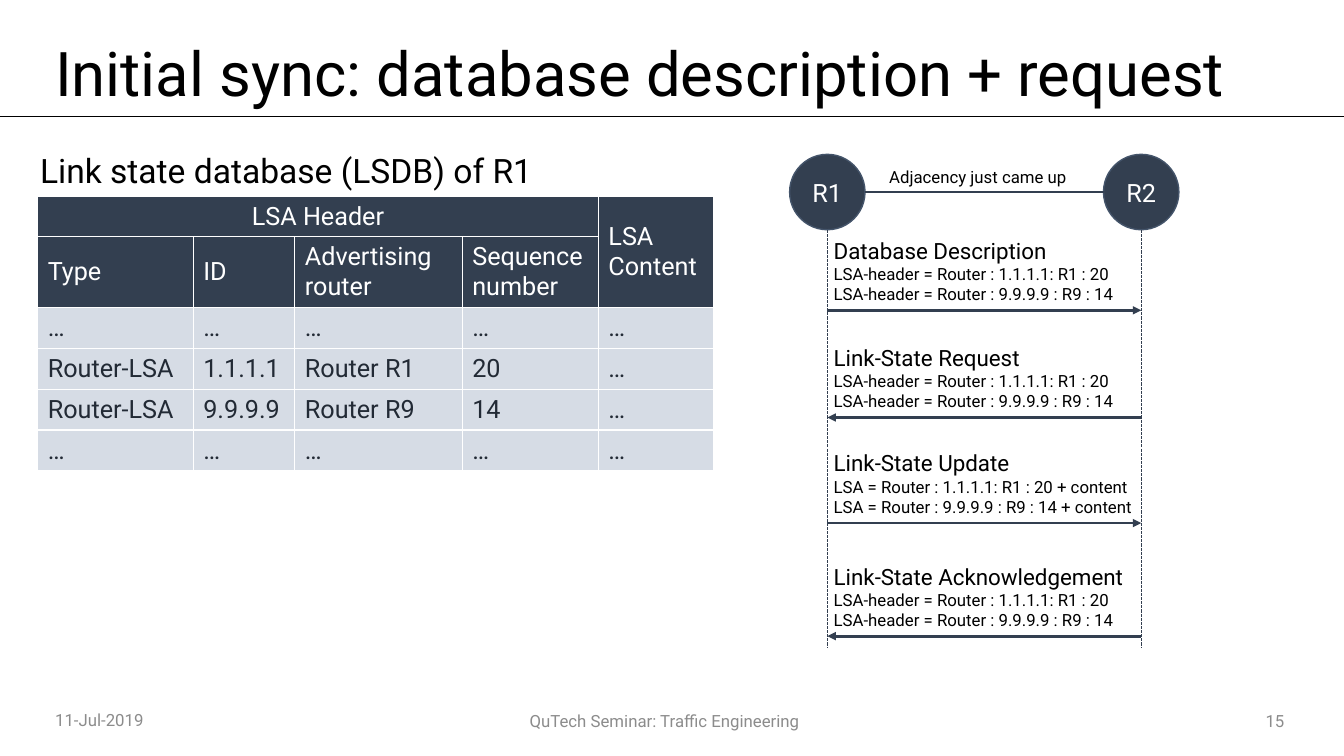
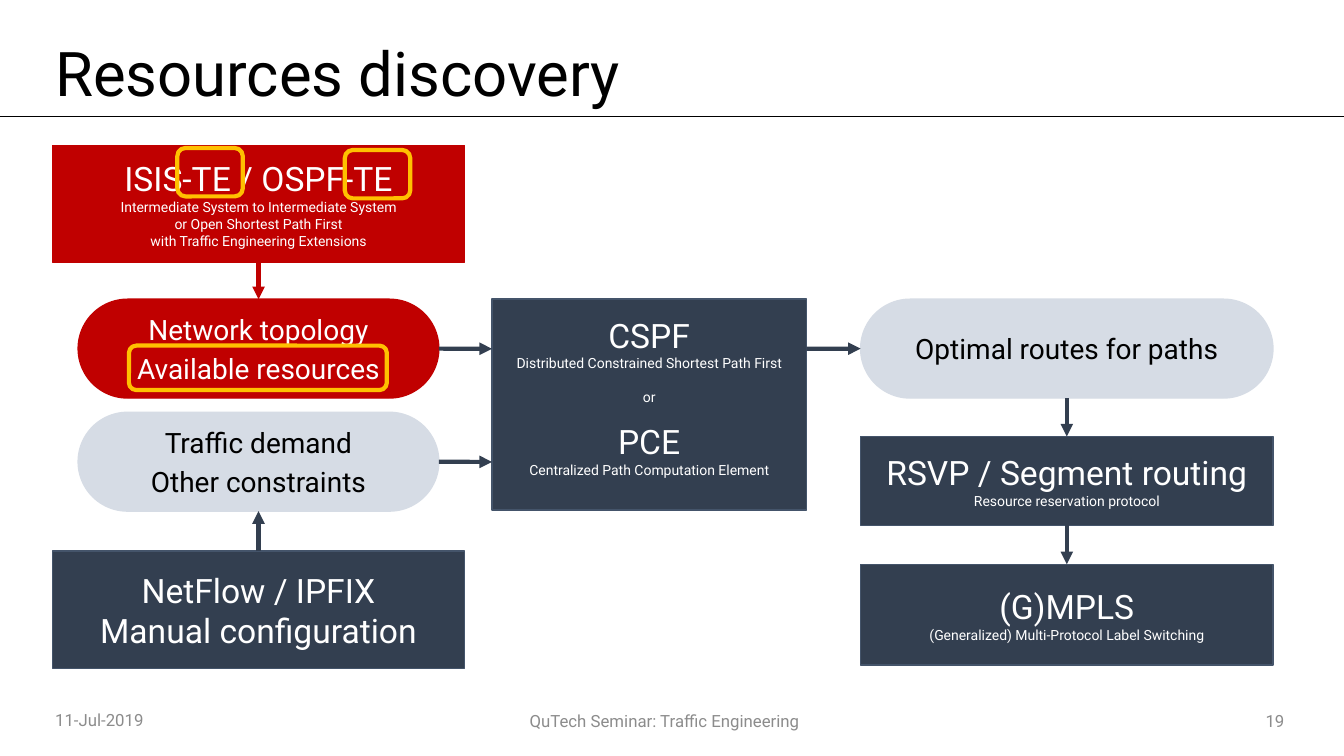
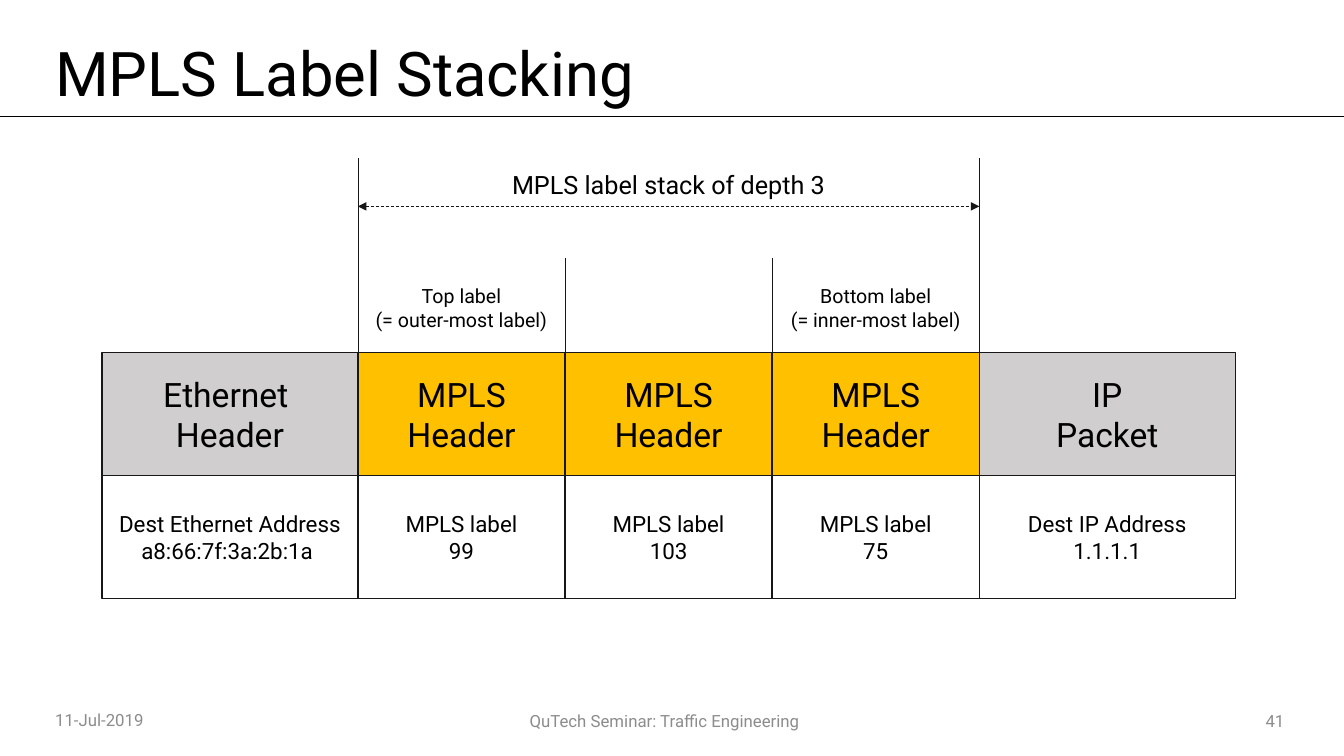
"""Build three seminar slides on link-state routing and MPLS."""
from lxml.etree import SubElement
from pptx import Presentation
from pptx.dml.color import RGBColor
from pptx.enum.dml import MSO_LINE
from pptx.enum.shapes import MSO_CONNECTOR, MSO_SHAPE
from pptx.enum.text import MSO_ANCHOR, PP_ALIGN
from pptx.oxml.ns import qn
from pptx.util import Cm, Pt

FONT = "Roboto"
BLACK, WHITE, GREY = "000000", "FFFFFF", "8C8C8C"
NAVY, SLATE, PALE, DARK = "333F50", "44546A", "D6DCE5", "222A35"
RED, GOLD, SILVER, INK = "C00000", "FFC000", "D0CECE", "181717"
LEFT, MID, RIGHT = PP_ALIGN.LEFT, PP_ALIGN.CENTER, PP_ALIGN.RIGHT
RECT, ROUND, OVAL = MSO_SHAPE.RECTANGLE, MSO_SHAPE.ROUNDED_RECTANGLE, MSO_SHAPE.OVAL
TOP, WEST, BASE, EAST = range(4)
rgb = RGBColor.from_string


def box(slide, at, lines=(), color=BLACK, kind=None, fill=None, edge=None,
        width=1, align=MID, pad=None, lead=None):
    """Add a text box, or a shape of the given kind; lines hold text, size and space before."""
    at = [Cm(n) for n in at]
    if kind is None:
        shape = slide.shapes.add_textbox(*at)
    else:
        shape = slide.shapes.add_shape(kind, *at)
        shape.shadow.inherit = False
        shape.line.color.rgb = rgb(edge)
        shape.line.width = Pt(width)
        if fill:
            shape.fill.solid()
            shape.fill.fore_color.rgb = rgb(fill)
        else:
            shape.fill.background()
    frame = shape.text_frame
    frame.word_wrap = True
    frame.vertical_anchor = MSO_ANCHOR.MIDDLE
    if pad is not None:
        frame.margin_left = frame.margin_right = Cm(pad)
        frame.margin_top = frame.margin_bottom = Cm(pad)
    for n, (text, size, *gap) in enumerate(lines):
        para = frame.add_paragraph() if n else frame.paragraphs[0]
        para.alignment = align
        if lead:
            para.line_spacing = lead
        if gap:
            para.space_before = Pt(gap[0])
        run = para.add_run()
        run.text = text
        run.font.name, run.font.size = FONT, Pt(size)
        run.font.color.rgb = rgb(color)
    return shape


def line(slide, start, end, color, width, tips=(), dash=None):
    """Draw a straight line between points or (shape, side) pairs."""
    spots = [p if isinstance(p[0], (int, float)) else (0, 0) for p in (start, end)]
    link = slide.shapes.add_connector(
        MSO_CONNECTOR.STRAIGHT, *[Cm(n) for spot in spots for n in spot])
    if spots[0] != start:
        link.begin_connect(*start)
    if spots[1] != end:
        link.end_connect(*end)
    link.line.color.rgb = rgb(color)
    link.line.width = Pt(width)
    if dash:
        link.line.dash_style = dash
    props = link.element.spPr
    for tip in tips:
        SubElement(props.find(qn("a:ln")), qn(tip), type="triangle")
    SubElement(props, qn("a:effectLst"))


deck = Presentation()
deck.slide_width, deck.slide_height = Cm(33.87), Cm(19.05)

pages = []
for title, page in [("Initial sync: database description + request", "15"),
                    ("Resources discovery", "19"),
                    ("MPLS Label Stacking", "41")]:
    slide = deck.slides.add_slide(deck.slide_layouts[6])
    line(slide, (0, 2.93), (33.87, 2.93), BLACK, 0.5)
    box(slide, (1.14, 0.91, 31.47, 2.06), [(title, 44)], align=LEFT, lead=0.9)
    box(slide, (4.9, 17.65, 23.7, 1.02), [("QuTech Seminar: Traffic Engineering", 12)], GREY)
    box(slide, (28.96, 17.65, 3.66, 1.02), [(page, 12)], GREY, align=RIGHT)
    box(slide, (1.14, 17.63, 3.48, 1.02), [("11-Jul-2019", 12)], GREY, align=LEFT)
    pages.append(slide)
sync, flow, stack = pages

ends = (20.85, 28.76)
for name, x in zip(("R1", "R2"), ends):
    box(sync, (x - 0.95, 3.89, 1.9, 1.9), [(name, 18)], WHITE, OVAL, NAVY, SLATE, pad=0)
    line(sync, (x, 5.79), (x, 16.31), NAVY, 0.75, dash=MSO_LINE.SQUARE_DOT)
line(sync, (21.8, 4.84), (27.81, 4.84), NAVY, 2)
box(sync, (21.29, 3.81, 6.71, 1.27), [("Adjacency just came up", 12)])

heads = ["LSA-header = Router : 1.1.1.1: R1 : 20",
         "LSA-header = Router : 9.9.9.9 : R9 : 14"]
full = ["LSA = Router : 1.1.1.1: R1 : 20 + content",
        "LSA = Router : 9.9.9.9 : R9 : 14 + content"]
steps = [("Database Description", heads, 7.82), ("Link-State Request", heads, 10.52),
         ("Link-State Update", full, 13.18), ("Link-State Acknowledgement", heads, 16.03)]
for n, (name, notes, y) in enumerate(steps):
    box(sync, (20.76, y - 1.98, 8.9, 1.95), [(name, 16)] + [(note, 12) for note in notes],
        align=LEFT, pad=0.25)
    start, end = ends if n % 2 == 0 else ends[::-1]
    line(sync, (start, y), (end, y), NAVY, 2, ["a:tailEnd"])

box(sync, (0.76, 3.71, 14.33, 1.3), [("Link state database (LSDB) of R1", 24)],
    align=LEFT, lead=0.9)
rows = [["LSA Header", "", "", "", "LSA\nContent"],
        ["Type", "ID", "Advertising router", "Sequence\nnumber", ""],
        ["…"] * 5,
        ["Router-LSA", "1.1.1.1", "Router R1", "20", "…"],
        ["Router-LSA", "9.9.9.9", "Router R9", "14", "…"],
        ["…"] * 5]
cols = (3.92, 2.56, 4.22, 3.43, 2.91)
highs = (1, 1.75, 1.03, 1.03, 1.03, 1.03)
table = sync.shapes.add_table(
    len(rows), len(cols), Cm(0.95), Cm(4.95), Cm(sum(cols)), Cm(sum(highs))).table
table.first_row = table.horz_banding = False
for col, wide in zip(table.columns, cols):
    col.width = Cm(wide)
for row, high in zip(table.rows, highs):
    row.height = Cm(high)
table.cell(0, 0).merge(table.cell(0, 3))
table.cell(0, 4).merge(table.cell(1, 4))
for r, row in enumerate(rows):
    for c, text in enumerate(row):
        cell = table.cell(r, c)
        cell.vertical_anchor = MSO_ANCHOR.MIDDLE
        props = cell._tc.get_or_add_tcPr()
        for side in ("a:lnL", "a:lnR", "a:lnT", "a:lnB"):
            rim = SubElement(props, qn(side), w=str(Pt(1)))
            SubElement(SubElement(rim, qn("a:solidFill")), qn("a:srgbClr"), val=WHITE)
        cell.fill.solid()
        cell.fill.fore_color.rgb = rgb(NAVY if r < 2 else PALE)
        if cell.is_spanned:
            continue
        for n, part in enumerate(text.split("\n")):
            para = cell.text_frame.add_paragraph() if n else cell.text_frame.paragraphs[0]
            para.alignment = MID if r == c == 0 else LEFT
            run = para.add_run()
            run.text = part
            run.font.name, run.font.size = FONT, Pt(18)
            run.font.color.rgb = rgb(WHITE if r < 2 else DARK)

igp = box(flow, (1.32, 3.66, 10.39, 2.95),
          [("ISIS-TE / OSPF-TE", 24), ("Intermediate System to Intermediate System", 10),
           ("or Open Shortest Path First", 10), ("with Traffic Engineering Extensions", 10)],
          WHITE, RECT, RED, RED, pad=0)
topo = box(flow, (1.97, 7.54, 9.09, 2.49),
           [("Network topology", 20), ("Available resources", 20, 4)], WHITE, ROUND, RED, RED)
need = box(flow, (1.97, 10.39, 9.09, 2.49),
           [("Traffic demand", 20), ("Other constraints", 20, 4)], BLACK, ROUND, PALE, PALE)
best = box(flow, (21.69, 7.54, 10.39, 2.49),
           [("Optimal routes for paths", 20)], BLACK, ROUND, PALE, PALE)
for pill in (topo, need, best):
    pill.adjustments[0] = 0.5
feed = box(flow, (1.32, 13.89, 10.39, 2.95),
           [("NetFlow / IPFIX", 24), ("Manual configuration", 24)],
           WHITE, RECT, NAVY, SLATE, pad=0)
solve = box(flow, (12.4, 7.54, 7.92, 5.31),
            [("CSPF", 24), ("Distributed Constrained Shortest Path First", 10),
             ("or", 10, 11.7), ("PCE", 24, 11.7),
             ("Centralized Path Computation Element", 10)],
            WHITE, RECT, NAVY, SLATE, pad=0)
solve.text_frame.margin_bottom = Cm(0.41)
rsvp = box(flow, (21.69, 11, 10.39, 2.24),
           [("RSVP / Segment routing", 24), ("Resource reservation protocol", 10)],
           WHITE, RECT, NAVY, SLATE, pad=0)
mpls = box(flow, (21.69, 14.22, 10.39, 2.54),
           [("(G)MPLS", 24), ("(Generalized) Multi-Protocol Label Switching", 10)],
           WHITE, RECT, NAVY, SLATE, pad=0)
for start, end, color in [((igp, BASE), (topo, TOP), RED),
                          ((feed, TOP), (need, BASE), NAVY),
                          ((topo, EAST), (12.4, 8.79), NAVY),
                          ((need, EAST), (12.4, 11.64), NAVY),
                          ((20.32, 8.79), (best, WEST), NAVY),
                          ((best, BASE), (rsvp, TOP), NAVY),
                          ((rsvp, BASE), (mpls, TOP), NAVY)]:
    line(flow, start, end, color, 3, ["a:tailEnd"])
for at in [(3.25, 8.71, 6.5, 1.12), (4.47, 3.73, 1.65, 1.22), (8.69, 3.78, 1.65, 1.22)]:
    box(flow, at, kind=ROUND, edge=GOLD, width=3)

side, core, high, top = 6.45, 5.22, 3.1, 8.89
x = 2.57
edges = []
for wide, fill, name, note in [
        (side, SILVER, ("Ethernet ", "Header"), ("Dest Ethernet Address", "a8:66:7f:3a:2b:1a ")),
        (core, GOLD, ("MPLS", "Header"), ("MPLS label", "99")),
        (core, GOLD, ("MPLS", "Header"), ("MPLS label", "103")),
        (core, GOLD, ("MPLS", "Header"), ("MPLS label", "75")),
        (side, SILVER, ("IP", "Packet"), ("Dest IP Address", "1.1.1.1"))]:
    box(stack, (x, top, wide, high), [(text, 24) for text in name], BLACK, RECT, fill, INK)
    box(stack, (x, top + high, wide, high), [(text, 16) for text in note],
        BLACK, RECT, None, INK)
    edges.append(x)
    x += wide
first, last = edges[1], edges[4]
for x in edges[1:]:
    line(stack, (x, 3.99 if x in (first, last) else 6.5), (x, top), INK, 0.5)
line(stack, (first, 5.2), (last, 5.2), INK, 0.5, ["a:headEnd", "a:tailEnd"], MSO_LINE.DASH)
box(stack, (first, 3.96, last - first, 1.37), [("MPLS label stack of depth 3", 18)])
for x, name, note in [(first, "Top label", "(= outer-most label)"),
                      (edges[3], "Bottom label", "(= inner-most label)")]:
    box(stack, (x, 6.73, core, 2.06), [(name, 14), (note, 14)])

deck.save("out.pptx")
